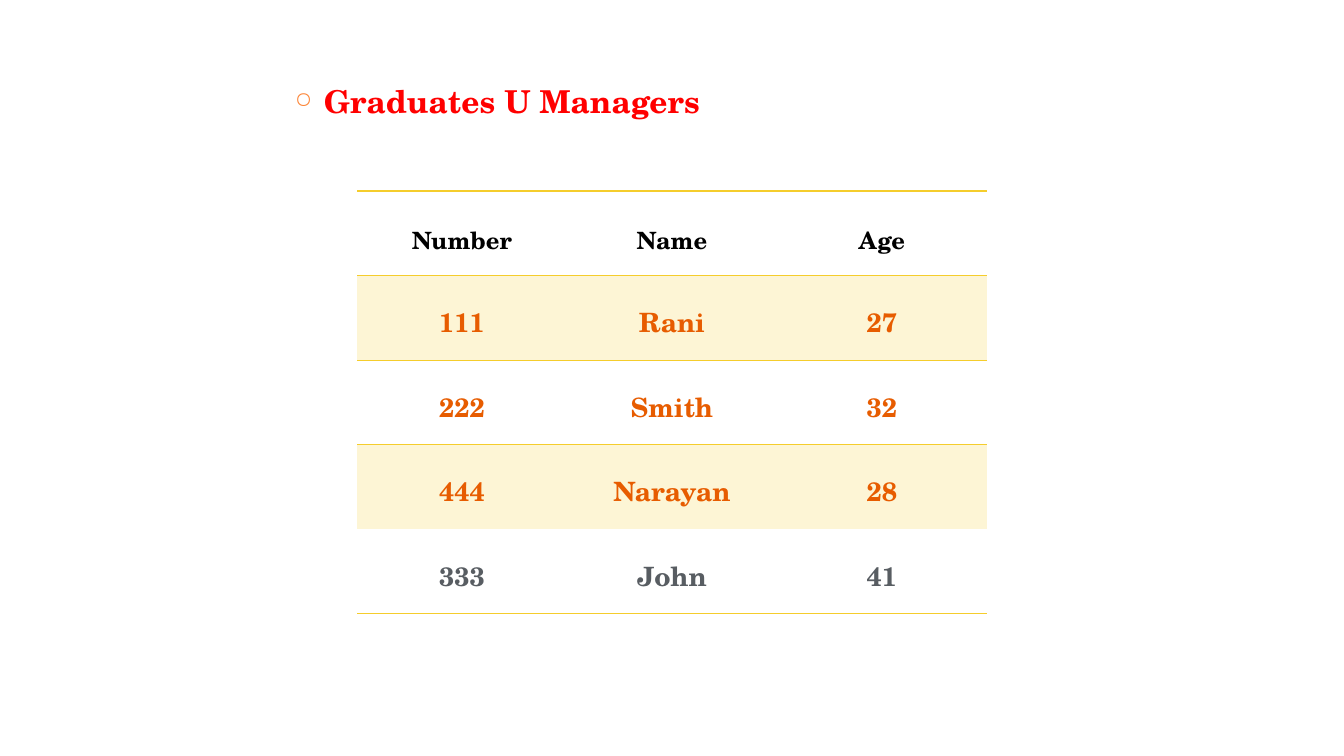
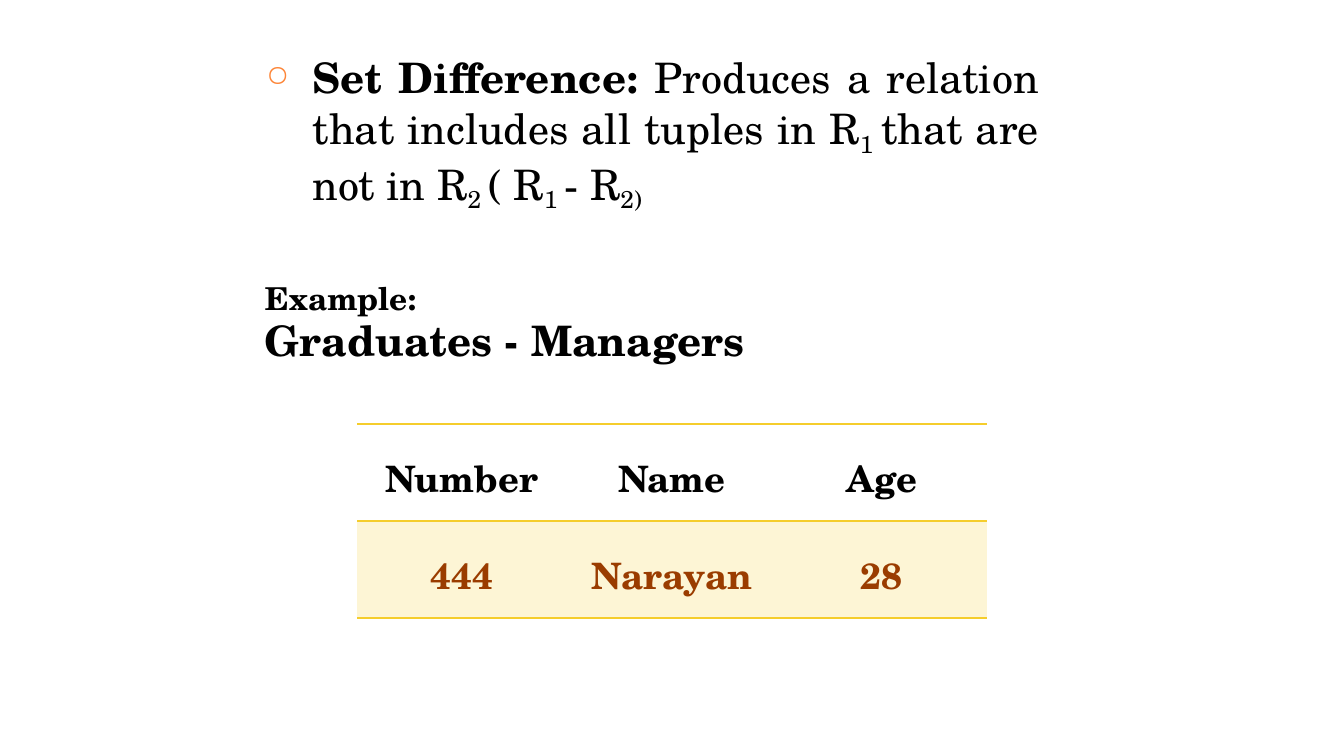
"""Builds two slides on relational union and set difference."""
from dataclasses import dataclass

from lxml import etree
from pptx import Presentation
from pptx.dml.color import RGBColor
from pptx.enum.text import MSO_ANCHOR, PP_ALIGN
from pptx.oxml.ns import qn
from pptx.util import Emu, Pt

EMU_PER_PX = 914400 / 100.8
FONT = "TeX Gyre Schola"
BLACK = RGBColor(0x00, 0x00, 0x00)
RED = RGBColor(0xFF, 0x00, 0x00)
ORANGE = RGBColor(0xE7, 0x5C, 0x00)
BROWN = RGBColor(0x9A, 0x3C, 0x00)
GRAY = RGBColor(0x58, 0x5D, 0x62)
BULLET = RGBColor(0xFD, 0x85, 0x37)
GOLD = RGBColor(0xF5, 0xCD, 0x2C)
BAND = RGBColor(0xFD, 0xF5, 0xD5)
TOP = MSO_ANCHOR.TOP
CENTER = PP_ALIGN.CENTER
JUSTIFY = PP_ALIGN.JUSTIFY
PLAIN_STYLE = "{2D5ABB26-0587-4C30-8999-92F81FD0307C}"
TABLE_LEFT, COLUMN_WIDTH, BODY_INSET = 357, 210, 26
HEADINGS = ("Number", "Name", "Age")


@dataclass(frozen=True)
class Row:
    values: tuple[str, ...]
    size: float
    color: RGBColor
    banded: bool = False
    inset: int = BODY_INSET


@dataclass(frozen=True)
class Relation:
    top: int
    height: int
    rows: tuple[Row, ...]
    ruled_edges: tuple[int, ...]


@dataclass(frozen=True)
class Piece:
    text: str
    bold: bool = False
    subscript: bool = False


UNION = Relation(191, 423, (
    Row(HEADINGS, 17, BLACK, inset=30),
    Row(("111", "Rani", "27"), 19, ORANGE, True),
    Row(("222", "Smith", "32"), 19, ORANGE),
    Row(("444", "Narayan", "28"), 19, ORANGE, True),
    Row(("333", "John", "41"), 19, GRAY),
), (0, 1, 2, 5))

DIFFERENCE = Relation(424, 194, (
    Row(HEADINGS, 26, BLACK),
    Row(("444", "Narayan", "28"), 26, BROWN, True),
), (0, 1, 2))

DEFINITION = (
    Piece("Set Difference: ", bold=True),
    Piece("Produces a relation that includes all tuples in R"),
    Piece("1 ", subscript=True),
    Piece("that are not in R"),
    Piece("2 ", subscript=True),
    Piece("( R"),
    Piece("1 ", subscript=True),
    Piece("- R"),
    Piece("2)", subscript=True),
)


def px(length: int) -> Emu:
    """Convert px to EMU."""
    return Emu(round(length * EMU_PER_PX))


def style(font, size: float, color: RGBColor, bold: bool | None = True) -> None:
    """Set the shared face with the given look."""
    font.name, font.size, font.bold = FONT, Pt(size), bold
    font.color.rgb = color


def add_text(slide, left: int, top: int, width: int, height: int):
    """Add an empty wrapping text area and return its frame."""
    frame = slide.shapes.add_textbox(px(left), px(top), px(width), px(height)).text_frame
    frame.word_wrap = True
    frame.margin_left = frame.margin_right = frame.margin_bottom = 0
    frame.margin_top = px(1)
    return frame


def set_bullet(paragraph, indent: int) -> None:
    """Give a paragraph a hollow round bullet with a hanging indent."""
    props = paragraph._p.get_or_add_pPr()
    props.set("marL", str(px(indent)))
    props.set("indent", str(-px(indent - 1)))
    color = etree.SubElement(props, qn("a:buClr"))
    etree.SubElement(color, qn("a:srgbClr"), val=str(BULLET))
    etree.SubElement(props, qn("a:buSzPct"), val="70000")
    etree.SubElement(props, qn("a:buChar"), char="○")


def add_rule(cell, side: str) -> None:
    """Draw a gold border on one side of a cell."""
    line = etree.SubElement(cell._tc.get_or_add_tcPr(), qn(side), w=str(Pt(1)))
    fill = etree.SubElement(line, qn("a:solidFill"))
    etree.SubElement(fill, qn("a:srgbClr"), val=str(GOLD))


def fill_cell(cell, text: str, row: Row) -> None:
    """Write one value in the look of its row."""
    cell.margin_left = cell.margin_right = cell.margin_bottom = 0
    cell.margin_top = px(row.inset)
    cell.vertical_anchor = TOP
    if row.banded:
        cell.fill.solid()
        cell.fill.fore_color.rgb = BAND
    else:
        cell.fill.background()
    paragraph = cell.text_frame.paragraphs[0]
    paragraph.text = text
    paragraph.alignment = CENTER
    style(paragraph.font, row.size, row.color)


def add_relation(slide, relation: Relation) -> None:
    """Add a relation as a table with gold rules."""
    columns = len(HEADINGS)
    frame = slide.shapes.add_table(
        len(relation.rows), columns, px(TABLE_LEFT), px(relation.top),
        px(columns * COLUMN_WIDTH), px(relation.height))
    for style_id in frame.element.iter(qn("a:tableStyleId")):
        style_id.text = PLAIN_STYLE
    table = frame.table
    table.first_row = table.horz_banding = False
    for index, row in enumerate(relation.rows):
        table.rows[index].height = Emu(px(relation.height) // len(relation.rows))
        for column, text in enumerate(row.values):
            cell = table.cell(index, column)
            for side, edge in (("a:lnT", index), ("a:lnB", index + 1)):
                if edge in relation.ruled_edges:
                    add_rule(cell, side)
            fill_cell(cell, text, row)


def build_union(slide) -> None:
    """Build the union slide."""
    heading = add_text(slide, 294, 81, 480, 39).paragraphs[0]
    set_bullet(heading, 30)
    heading.text = "Graduates U Managers"
    style(heading.font, 22.5, RED)
    add_relation(slide, UNION)


def build_difference(slide) -> None:
    """Build the set difference slide."""
    frame = add_text(slide, 265, 51, 774, 308)
    definition = frame.paragraphs[0]
    set_bullet(definition, 48)
    definition.alignment = JUSTIFY
    style(definition.font, 30, BLACK, None)
    for piece in DEFINITION:
        run = definition.add_run()
        run.text = piece.text
        run.font.bold = piece.bold
        if piece.subscript:
            run._r.get_or_add_rPr().set("baseline", "-21000")
    for text, size, spacing, before in (
            ("Example:", 22.5, 25.6, 48), ("Graduates - Managers", 30, 34.6, 0)):
        example = frame.add_paragraph()
        example.text = text
        example.line_spacing = Pt(spacing)
        example.space_before = Pt(before)
        style(example.font, size, BLACK)
    add_relation(slide, DIFFERENCE)


def main() -> None:
    """Build and save the presentation."""
    deck = Presentation()
    deck.slide_width, deck.slide_height = px(1344), px(756)
    blank = deck.slide_layouts[6]
    for build in (build_union, build_difference):
        build(deck.slides.add_slide(blank))
    deck.save("out.pptx")


if __name__ == "__main__":
    main()
